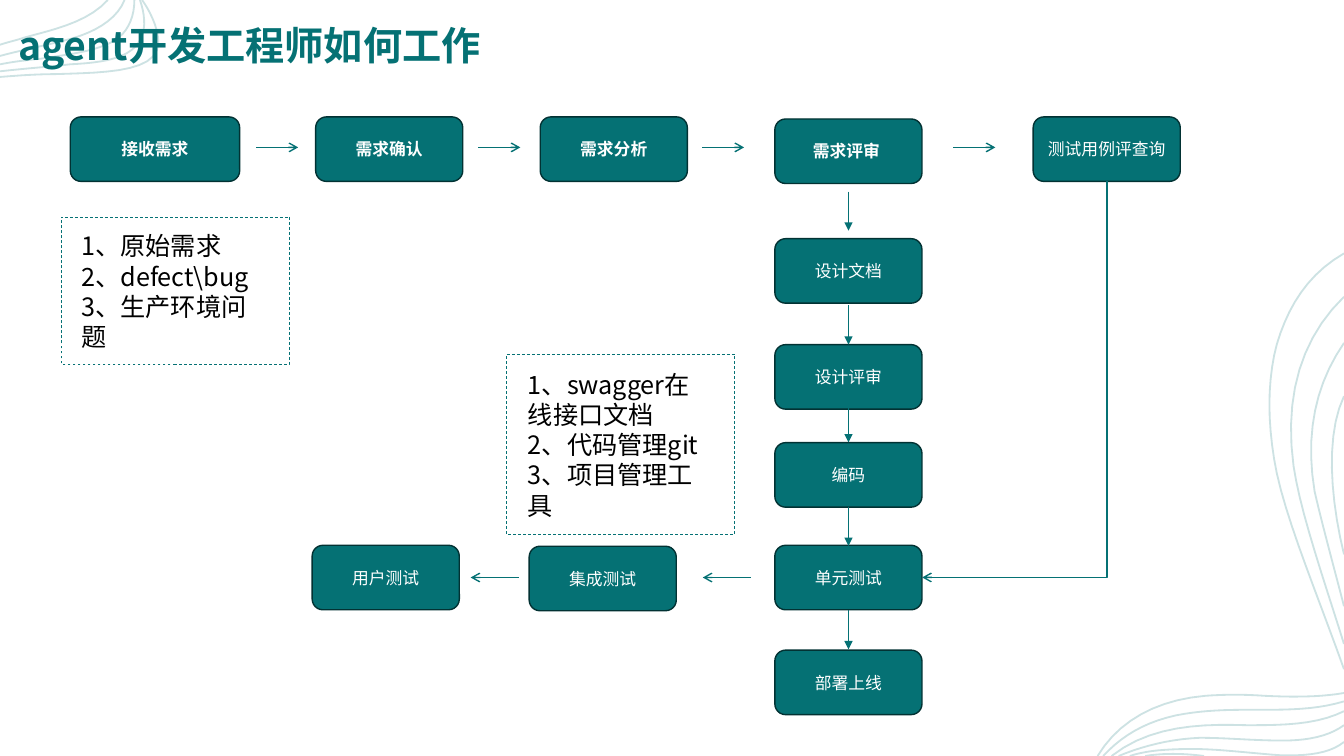
from lxml import etree
from pptx import Presentation
from pptx.dml.color import RGBColor
from pptx.enum.dml import MSO_LINE_DASH_STYLE as Dash
from pptx.enum.shapes import MSO_CONNECTOR_TYPE as Link, MSO_SHAPE as Shape
from pptx.enum.text import MSO_ANCHOR as Anchor, PP_ALIGN as Align
from pptx.oxml.ns import qn
from pptx.util import Pt

COLORS = {"teal": "057174", "edge": "023233", "white": "FFFFFF", "black": "000000"}
CJK_FONT = "Noto Sans CJK SC"
STEP_WIDTH, STEP_HEIGHT = 105.1, 46.1
MAIN_LEFT, MAIN_CENTER = 553.5, 606.1
TOP_ROW, TOP_ARROWS = 83.5, 105.3
TEST_ROW, TEST_ARROWS = 389.5, 412.5

TOP_LEFT_WAVES = [
    [(0, 32), (6, 30), (11, 29), (17, 27), (34, 22), (62, 17), (77, 0)],
    [(101.5, 0), (108, 9), (116, 26), (112, 36), (106, 52), (70, 52), (39, 53),
     (26, 53), (13, 54), (0, 55)],
    [(100, 0), (104, 12), (105, 24), (97, 33), (88, 43), (69, 45), (50, 46),
     (33, 48), (17, 49), (0, 51)],
    [(96, 0), (96, 14), (90, 25), (80, 30), (67, 37), (48, 39), (29, 42),
     (19, 43), (10, 44), (0, 46)],
    [(89, 0), (83, 15), (66, 24), (46, 29), (30, 33), (15, 36), (0, 40)],
]
RIGHT_WAVES = [
    [(960, 283), (947, 310), (950, 355), (960, 396)],
    [(960, 245), (940, 274), (932, 309), (939, 351), (944, 373), (953, 406), (960, 433)],
    [(960, 212), (930, 241), (917, 282), (924, 333), (929, 367), (947, 418), (960, 460)],
    [(960, 181), (934, 196), (920, 219), (912, 246), (905, 272), (905, 304), (912, 338),
     (920, 375), (943, 430), (960, 478)],
    [(960, 495), (943, 498), (923, 498), (903, 497), (889, 496), (875, 496), (861, 497),
     (826, 500), (799, 515), (784, 540)],
    [(960, 501), (940, 507), (920, 507), (898, 507), (878, 507), (860, 507), (840, 511),
     (817, 516), (801, 526), (788, 540)],
    [(960, 508), (940, 518), (915, 518), (890, 518), (858, 517), (822, 518), (794, 540)],
    [(960, 518), (949, 526), (934, 529), (916, 529), (896, 529), (876, 527), (857, 527),
     (835, 528), (816, 533), (799, 540)],
    [(960, 530), (950, 538), (935, 540), (915, 539.5), (893, 538), (871, 535), (852, 535),
     (834, 535), (819, 536), (807, 540)],
    [(818, 540), (830, 538), (845, 538), (860, 540)],
]


def rgb(name):
    return RGBColor.from_string(COLORS[name])


def set_line(line, color, width):
    line.color.rgb = rgb(color)
    line.width = Pt(width)


def curve_points(controls, steps=10):
    points = []
    for start in range(0, len(controls) - 1, 3):
        a, b, c, d = controls[start:start + 4]
        for step in range(1, steps + 1):
            t = step / steps
            u = 1 - t
            points.append(tuple(
                Pt(u**3 * p + 3 * u * u * t * q + 3 * u * t * t * r + t**3 * s)
                for p, q, r, s in zip(a, b, c, d)))
    return points


def add_waves(slide, waves):
    builder = None
    for controls in waves:
        x, y = controls[0]
        if builder is None:
            builder = slide.shapes.build_freeform(Pt(x), Pt(y))
        else:
            builder.move_to(Pt(x), Pt(y))
        builder.add_line_segments(curve_points(controls), close=False)
    ribbon = builder.convert_to_shape()
    ribbon.shadow.inherit = False
    ribbon.fill.background()
    set_line(ribbon.line, "teal", 1.3)
    tint = ribbon.line._ln.find(".//" + qn("a:srgbClr"))
    etree.SubElement(tint, qn("a:alpha")).set("val", "20000")


def add_text(paragraph, text, size, color, font=CJK_FONT, bold=False):
    run = paragraph.add_run()
    run.text = text
    run.font.size = Pt(size)
    run.font.bold = bold
    run.font.color.rgb = rgb(color)
    run.font.name = font
    if font == CJK_FONT:
        etree.SubElement(run.font._element, qn("a:ea")).set("typeface", font)


def add_step(slide, text, left, top, width=STEP_WIDTH, bold=False):
    step = slide.shapes.add_shape(
        Shape.ROUNDED_RECTANGLE, Pt(left), Pt(top), Pt(width), Pt(STEP_HEIGHT))
    step.shadow.inherit = False
    step.fill.solid()
    step.fill.fore_color.rgb = rgb("teal")
    set_line(step.line, "edge", 1)
    frame = step.text_frame
    frame.word_wrap = True
    frame.vertical_anchor = Anchor.MIDDLE
    frame.paragraphs[0].alignment = Align.CENTER
    add_text(frame.paragraphs[0], text, 12, "white", "Karla", bold)


def add_arrow(slide, start, end, width=1, head="arrow", kind=Link.STRAIGHT):
    arrow = slide.shapes.add_connector(kind, *map(Pt, start + end))
    set_line(arrow.line, "teal", width)
    etree.SubElement(arrow.line._ln, qn("a:tailEnd")).set("type", head)
    etree.SubElement(arrow._element.spPr, qn("a:effectLst"))
    return arrow


def add_return_arrow(slide, start, end):
    across, down = start[0] - end[0], end[1] - start[1]
    center_x, center_y = (start[0] + end[0]) / 2, (start[1] + end[1]) / 2
    arrow = add_arrow(slide, (center_x - down / 2, center_y - across / 2),
                      (center_x + down / 2, center_y + across / 2), kind=Link.ELBOW)
    properties = arrow._element.spPr
    properties.find(qn("a:xfrm")).set("rot", "5400000")
    properties.find(qn("a:prstGeom")).set("prst", "bentConnector2")


def add_note(slide, lines, frame_box, text_box):
    border = slide.shapes.add_shape(Shape.RECTANGLE, *map(Pt, frame_box))
    border.shadow.inherit = False
    border.fill.background()
    set_line(border.line, "teal", 0.5)
    border.line.dash_style = Dash.DASH
    frame = slide.shapes.add_textbox(*map(Pt, text_box)).text_frame
    frame.word_wrap = True
    for index, line in enumerate(lines):
        paragraph = frame.add_paragraph() if index else frame.paragraphs[0]
        paragraph.line_spacing = Pt(21.6)
        add_text(paragraph, line, 18, "black")


def add_title(slide, text):
    frame = slide.shapes.add_textbox(Pt(13), Pt(-8), Pt(850), Pt(57)).text_frame
    frame.word_wrap = True
    frame.vertical_anchor = Anchor.BOTTOM
    frame.margin_left = frame.margin_right = frame.margin_top = frame.margin_bottom = 0
    add_text(frame.paragraphs[0], text, 28, "teal", bold=True)


def main():
    deck = Presentation()
    deck.slide_width, deck.slide_height = Pt(960), Pt(540)
    slide = deck.slides.add_slide(deck.slide_layouts[6])
    add_waves(slide, TOP_LEFT_WAVES)
    add_waves(slide, RIGHT_WAVES)
    add_title(slide, "agent开发工程师如何工作")

    add_step(slide, "接收需求", 50.2, TOP_ROW, width=121, bold=True)
    add_step(slide, "需求确认", 225.5, TOP_ROW, bold=True)
    add_step(slide, "需求分析", 385.9, TOP_ROW, bold=True)
    add_step(slide, "需求评审 ", MAIN_LEFT, 85, bold=True)
    add_step(slide, "测试用例评查询", 738, TOP_ROW)
    for left in (183, 341.7, 501.5, 681):
        add_arrow(slide, (left, TOP_ARROWS), (left + 30, TOP_ARROWS))

    for text, top in (("设计文档", 170.5), ("设计评审", 246.2), ("编码", 316.2),
                      ("单元测试", TEST_ROW), ("部署上线", 464.4)):
        add_step(slide, text, MAIN_LEFT, top)
    for top in (136.8, 218.2, 288, 362, 435.8):
        add_arrow(slide, (MAIN_CENTER, top), (MAIN_CENTER, top + 28), 0.5, "triangle")

    add_step(slide, "集成测试", 378, 390.2)
    add_step(slide, "用户测试", 223, TEST_ROW)
    for right in (536.4, 370.6):
        add_arrow(slide, (right, TEST_ARROWS), (right - 34.4, TEST_ARROWS))
    add_return_arrow(slide, (790.6, 129.6), (658.7, TEST_ARROWS))

    add_note(slide, ("1、原始需求", "2、defect\\bug", "3、生产环境问题"),
             (43.7, 155, 163.3, 105.1), (51, 161.3, 147, 91.4))
    add_note(slide, ("1、swagger在线接口文档", "2、代码管理git", "3、项目管理工具"),
             (361.6, 253.1, 163.3, 128.7), (370, 260, 147, 113))
    deck.save("out.pptx")


if __name__ == "__main__":
    main()
